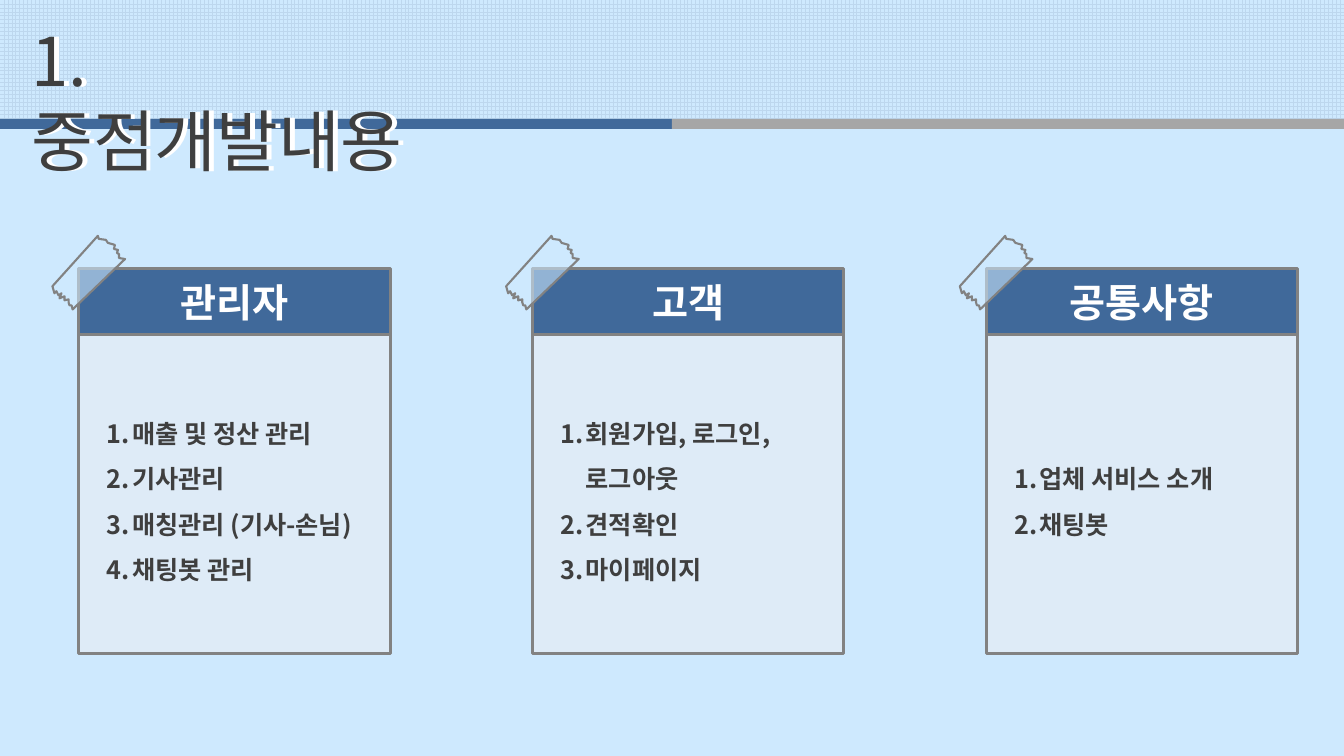
from pptx import Presentation
from pptx.dml.color import RGBColor as RGB
from pptx.enum.dml import MSO_PATTERN as PAT
from pptx.enum.shapes import MSO_SHAPE as SHAPE
from pptx.enum.text import MSO_ANCHOR as ANCHOR, MSO_AUTO_SIZE as SIZE, PP_ALIGN as ALIGN
from pptx.oxml.ns import qn
from pptx.util import Inches, Pt
from lxml.etree import SubElement as Sub

FONT = "Noto Sans CJK KR"
COLORS = {"sky": "CEE9FE", "grid": "BDD7EE", "blue": "40699A", "gray": "A6A6A6",
          "edge": "828282", "pale": "DEEBF7", "dark": "3F3F3F", "white": "FFFFFF"}
TITLE = "1. 중점개발내용"
CARDS = [
    ("관리자", ["매출 및 정산 관리", "기사관리", "매칭관리 (기사-손님)", "채팅봇 관리"]),
    ("고객", ["회원가입, 로그인, 로그아웃", "견적확인", "마이페이지"]),
    ("공통사항", ["업체 서비스 소개", "채팅봇"]),
]
# Tape outline in hundredths of an inch from the card corner
TAPE = [(-26, 18), (-24, 25), (-22, 23), (-20, 27), (-17, 25), (-19, 30), (-14, 28),
        (-14, 32), (-10, 31), (-10, 34), (-9, 37), (-7, 37), (-6, 41), (46, -9),
        (40, -10), (40, -14), (38, -15), (39, -18), (35, -19), (36, -23), (29, -25),
        (27, -28), (20, -29), (19, -32)]


def color(name):
    return RGB.from_string(COLORS[name])


def paint(shape, fill, line=None, width=2.25):
    shape.shadow.inherit = False
    shape.fill.solid()
    shape.fill.fore_color.rgb = color(fill)
    if line:
        shape.line.color.rgb = color(line)
        shape.line.width = Pt(width)
    else:
        shape.line.fill.background()


def add_rect(slide, left, top, width, height, fill, line=None):
    rect = slide.shapes.add_shape(SHAPE.RECTANGLE, Inches(left), Inches(top),
                                  Inches(width), Inches(height))
    paint(rect, fill, line)
    return rect


def style(para, size, tint, bold=False):
    for run in para.runs:
        run.font.name, run.font.size, run.font.bold = FONT, Pt(size), bold
        run.font.color.rgb = color(tint)
        Sub(run.font._element, qn("a:ea")).set("typeface", FONT)


def number(para):
    props = para._p.get_or_add_pPr()
    props.set("marL", str(Inches(0.25)))
    props.set("indent", str(-Inches(0.25)))
    Sub(props, qn("a:buFont")).set("typeface", "+mj-lt")
    Sub(props, qn("a:buAutoNum")).set("type", "arabicPeriod")


def set_title(shape, left, top, width, height, tint):
    shape.left, shape.top = Inches(left), Inches(top)
    shape.width, shape.height = Inches(width), Inches(height)
    frame = shape.text_frame
    frame.text = TITLE
    frame.word_wrap, frame.auto_size = True, SIZE.NONE
    frame.vertical_anchor = ANCHOR.TOP
    frame.paragraphs[0].alignment = ALIGN.LEFT
    style(frame.paragraphs[0], 48, tint)


def add_header(slide, left, top, width, height):
    # Grid band
    band = add_rect(slide, left, top, width, height, "sky")
    band.fill.patterned()
    band.fill.pattern = PAT.LARGE_GRID
    band.fill.fore_color.rgb = color("grid")
    band.fill.back_color.rgb = color("sky")

    # Two-tone rule
    half = width / 2
    for i, fill in enumerate(("blue", "gray")):
        add_rect(slide, left + i * half, top + height, half, 0.1, fill)

    # Title over its white offset
    shade = slide.shapes.add_textbox(0, 0, 0, 0)
    set_title(shade, left + 0.26, top + 0.14, 4.38, 0.91, "white")
    title = slide.shapes.title
    set_title(title, left + 0.21, top + 0.14, 4.38, 0.91, "dark")
    slide.shapes._spTree.append(title.element)


def add_tape(slide, left, top):
    pen = slide.shapes.build_freeform(*TAPE[0], scale=Inches(0.01))
    pen.add_line_segments(TAPE[1:], close=True)
    tape = pen.convert_to_shape(Inches(left), Inches(top))
    paint(tape, "sky", "edge", 1.5)
    tint = tape.element.spPr.find(qn("a:solidFill"))[0]
    Sub(tint, qn("a:alpha")).set("val", "58000")


def add_card(slide, left, top, width, height, name, items):
    # Heading
    cap = 0.66
    head = add_rect(slide, left, top, width, cap, "blue", "edge").text_frame
    head.text = name
    head.vertical_anchor = ANCHOR.MIDDLE
    head.paragraphs[0].alignment = ALIGN.CENTER
    style(head.paragraphs[0], 28, "white", True)

    # Numbered list
    body = add_rect(slide, left, top + cap, width, height - cap, "pale", "edge").text_frame
    body.text = "\n".join(items)
    body.word_wrap = True
    body.vertical_anchor = ANCHOR.MIDDLE
    body.margin_left = body.margin_right = Inches(0.28)
    for para in body.paragraphs:
        number(para)
        para.alignment = ALIGN.LEFT
        para.line_spacing = 1.5
        style(para, 18, "dark", True)

    add_tape(slide, left, top)


def main():
    deck = Presentation()
    deck.slide_width, deck.slide_height = Inches(13.33), Inches(7.5)
    slide = deck.slides.add_slide(deck.slide_layouts[5])
    slide.background.fill.solid()
    slide.background.fill.fore_color.rgb = color("sky")
    add_header(slide, 0, 0, 13.33, 1.18)
    for i, (name, items) in enumerate(CARDS):
        add_card(slide, 0.78 + i * 4.5, 2.66, 3.09, 3.82, name, items)
    deck.save("out.pptx")


if __name__ == "__main__":
    main()
